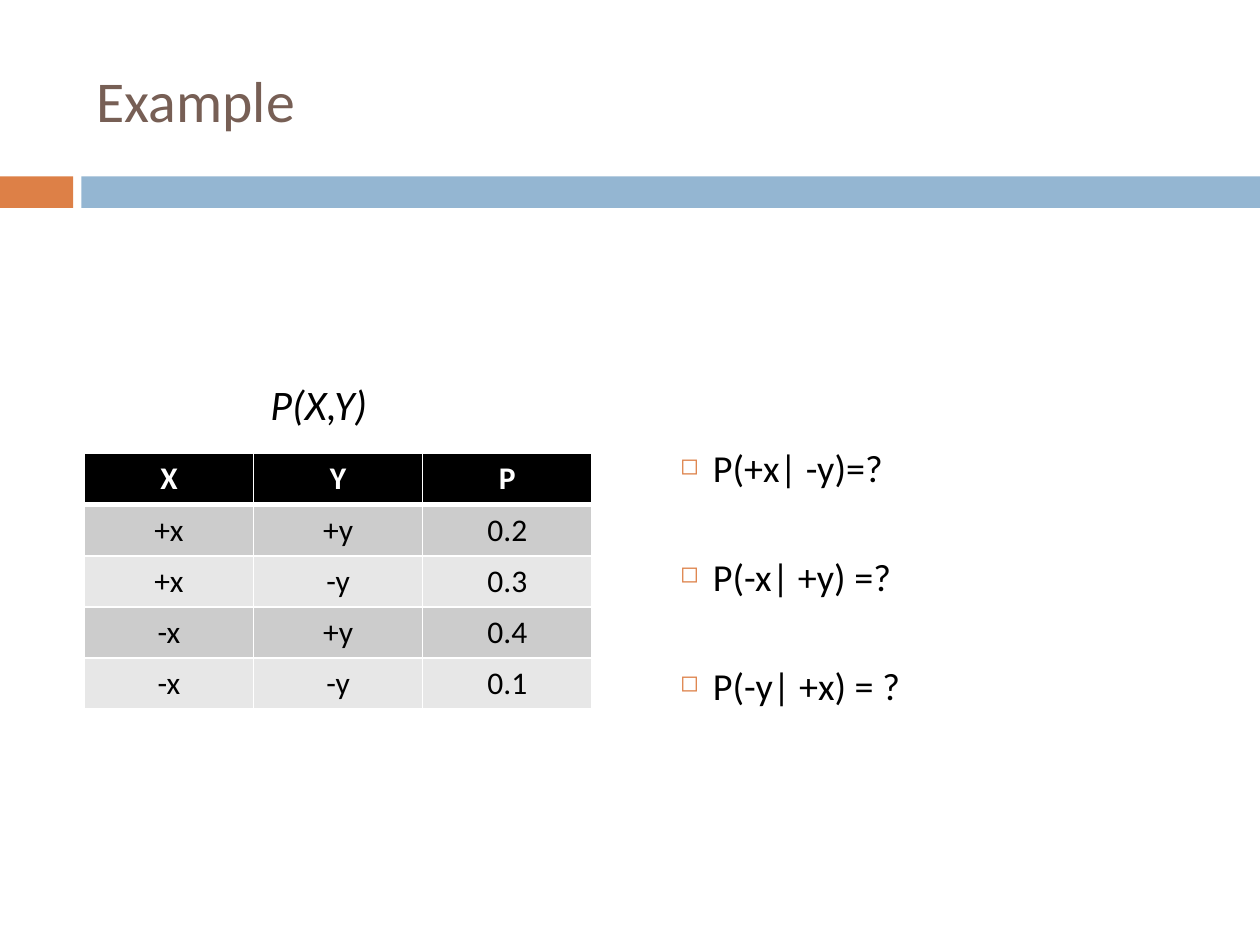
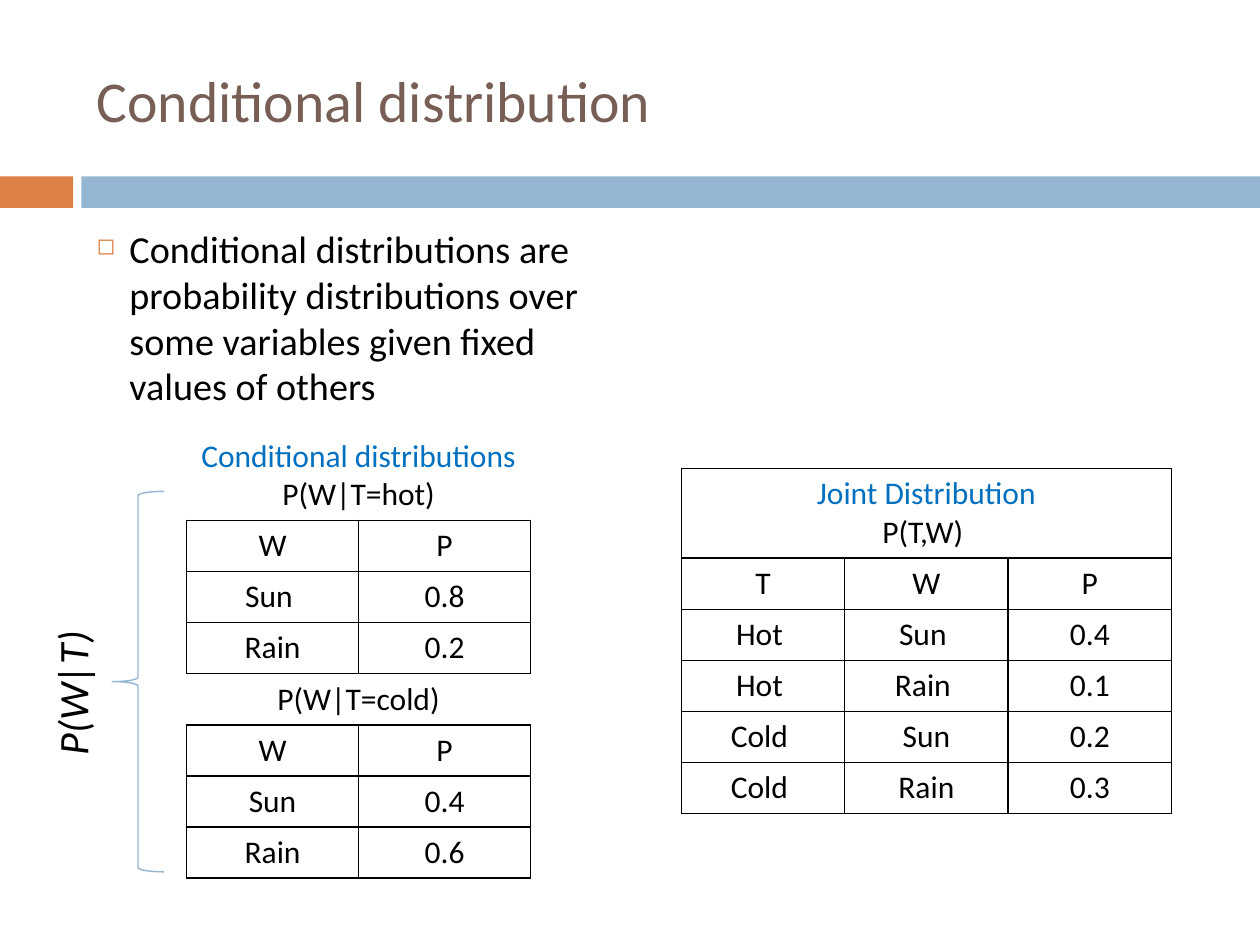
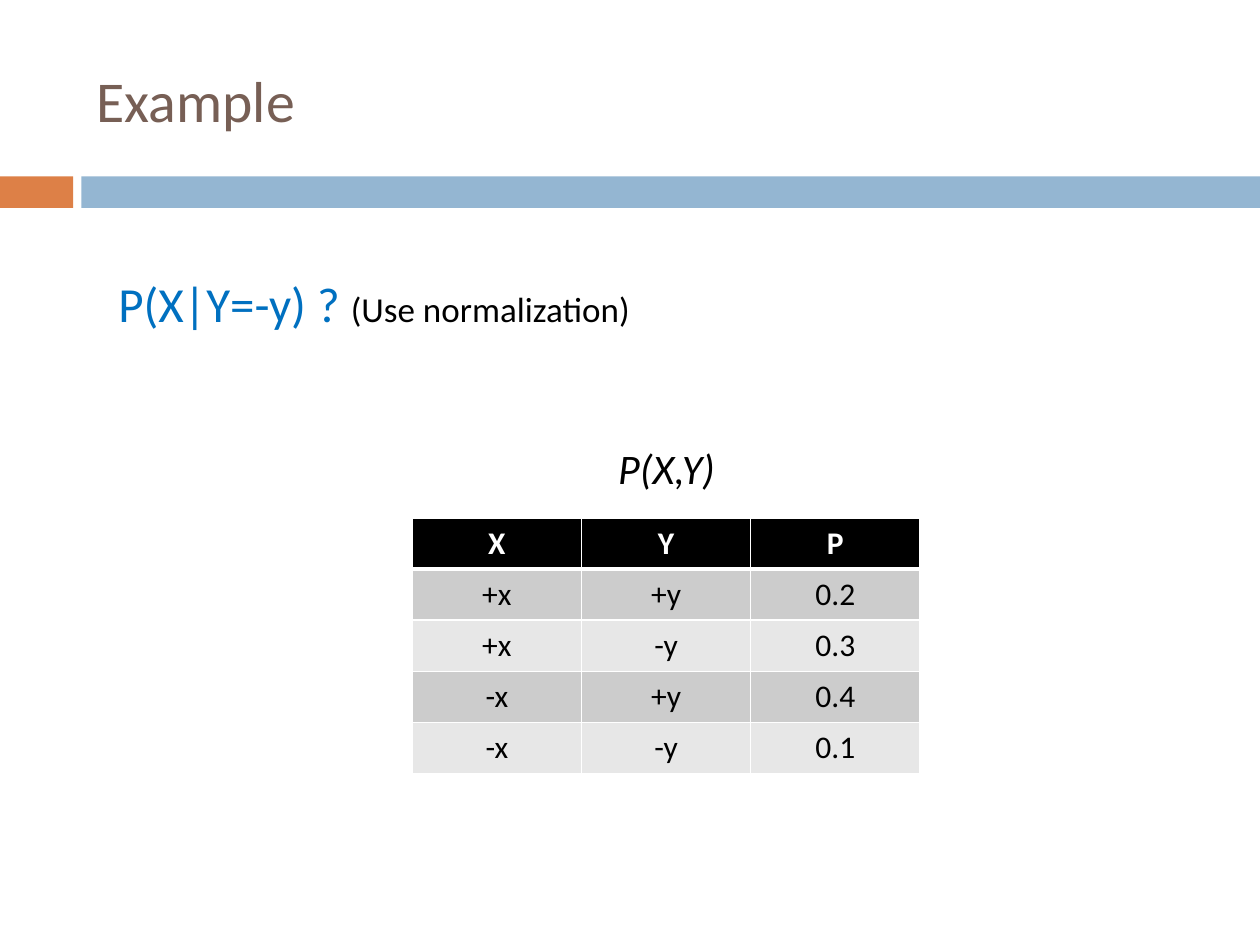
from dataclasses import dataclass
from typing import NamedTuple, Optional

import pptx
import pptx.dml.color
import pptx.enum.shapes
import pptx.enum.text
import pptx.oxml
import pptx.oxml.ns
import pptx.util
from lxml import etree

Pt = pptx.util.Pt
Align = pptx.enum.text.PP_ALIGN
Anchor = pptx.enum.text.MSO_ANCHOR
Shape = pptx.enum.shapes.MSO_SHAPE
qn = pptx.oxml.ns.qn


@dataclass(frozen=True)
class Theme:
    font: str = "Calibri"
    brown: str = "775F55"
    orange: str = "DD8047"
    pale: str = "94B6D2"
    blue: str = "0070C0"
    black: str = "000000"
    white: str = "FFFFFF"
    bands: tuple = ("CCCCCC", "E7E7E7")
    title: float = 33
    ask: float = 28
    label: float = 24
    body: float = 21.8
    note: float = 20
    cell: float = 18


THEME = Theme()


class Box(NamedTuple):
    left: float
    top: float
    width: float
    height: float

    def points(self) -> tuple:
        return tuple(Pt(side) for side in self)


class Band(NamedTuple):
    box: Box
    color: str


class Style(NamedTuple):
    size: float
    color: str = THEME.black
    bold: bool = False
    slant: bool = False


class Grid(NamedTuple):
    left: float
    top: float
    col: float
    rows: list
    open_rows: tuple = ()  # rows without side borders


TITLE = Box(48.2, 18, 642.2, 77.8)
BANDS = [
    Band(Box(0, 100.8, 41.8, 18), THEME.orange),
    Band(Box(46.5, 100.8, 673.5, 18), THEME.pale),
]
BODY_TOP, BODY_WIDTH, BODY_HEIGHT = 125.3, 306, 360
ROW, TALL_ROW = 29.2, 51.2
CELL = Style(THEME.cell)

PAIRS = [
    ["X", "Y", "P"],
    ["+x", "+y", "0.2"],
    ["+x", "-y", "0.3"],
    ["-x", "+y", "0.4"],
    ["-x", "-y", "0.1"],
]
JOINT = Grid(389.3, 267.8, 93.4, [
    ["Joint Distribution\nP(T,W) "],
    ["T", "W", "P"],
    ["Hot ", "Sun ", "0.4"],
    ["Hot ", "Rain ", "0.1"],
    ["Cold ", "Sun", "0.2"],
    ["Cold ", "Rain", "0.3"],
])
GIVEN = Grid(106.6, 246.2, 98.3, [
    ["Conditional distributions\nP(W|T=hot)"],
    ["W", "P"],
    ["Sun ", "0.8"],
    ["Rain", "0.2"],
    ["P(W|T=cold)"],
    ["W", "P"],
    ["Sun", "0.4"],
    ["Rain", "0.6"],
], open_rows=(0, 4))


# Text
def rgb(color: str):
    return pptx.dml.color.RGBColor.from_string(color)


def paint(font, style: Style) -> None:
    font.name = THEME.font
    font.size = Pt(style.size)
    font.bold = style.bold
    font.italic = style.slant
    font.color.rgb = rgb(style.color)


def format_lines(frame, style: Style, align=Align.LEFT) -> None:
    for line in frame.paragraphs:
        line.alignment = align
        for run in line.runs:
            paint(run.font, style)


def add_text(slide, box: Box, text: str, style: Style, align=Align.LEFT,
             anchor=Anchor.TOP):
    frame = slide.shapes.add_textbox(*box.points()).text_frame
    frame.word_wrap = True
    frame.vertical_anchor = anchor
    frame.text = text
    format_lines(frame, style, align)
    return frame


def add_points(slide, left: float, points: list, gap: float = 5.2,
               inset: float = 3.6) -> None:
    box = Box(left, BODY_TOP, BODY_WIDTH, BODY_HEIGHT)
    frame = add_text(slide, box, "\n".join(points), Style(THEME.body))
    frame.margin_top = Pt(inset)
    for line in frame.paragraphs:
        line.space_before = Pt(gap)
        props = line._p.get_or_add_pPr()
        props.set("marL", str(Pt(18.7)))
        props.set("indent", str(-Pt(18.7)))
        tint = etree.SubElement(props, qn("a:buClr"))
        etree.SubElement(tint, qn("a:srgbClr"), val=THEME.orange)
        etree.SubElement(props, qn("a:buSzPct"), val="60000")
        etree.SubElement(props, qn("a:buChar"), char="◻")


# Tables
def set_edge(cell, side: str, color: Optional[str], width: float = 1) -> None:
    edge = etree.Element(qn(f"a:ln{side}"), w=str(Pt(width)))
    if color is None:
        etree.SubElement(edge, qn("a:noFill"))
    else:
        fill = etree.SubElement(edge, qn("a:solidFill"))
        etree.SubElement(fill, qn("a:srgbClr"), val=color)
    cell._tc.get_or_add_tcPr().insert("LRTB".index(side), edge)


def add_grid(slide, grid: Grid):
    count = max(len(row) for row in grid.rows)
    heights = [TALL_ROW if "\n" in row[0] else ROW for row in grid.rows]
    box = Box(grid.left, grid.top, grid.col * count, sum(heights))
    table = slide.shapes.add_table(len(heights), count, *box.points()).table
    table.first_row = table.horz_banding = False
    for col in table.columns:
        col.width = Pt(grid.col)
    for index, row in enumerate(grid.rows):
        table.rows[index].height = Pt(heights[index])
        if len(row) == 1:
            table.cell(index, 0).merge(table.cell(index, count - 1))
        for col, text in enumerate(row):
            frame = table.cell(index, col).text_frame
            frame.text = text
            format_lines(frame, CELL, Align.CENTER)
    return table


def add_lined(slide, grid: Grid) -> None:
    table = add_grid(slide, grid)
    for index, row in enumerate(table.rows):
        for cell in row.cells:
            cell.fill.background()
            for side in "LRTB":
                bare = index in grid.open_rows and (
                    side in "LR" or (index == 0 and side == "T"))
                set_edge(cell, side, None if bare else THEME.black)
    head = table.cell(0, 0).text_frame.paragraphs[0]
    head.runs[0].font.color.rgb = rgb(THEME.blue)


def add_pairs(slide, left: float, top: float, label_left: float) -> None:
    table = add_grid(slide, Grid(left, top, 96.7, PAIRS))
    for index, row in enumerate(table.rows):
        color = THEME.bands[(index - 1) % 2] if index else THEME.black
        for cell in row.cells:
            cell.fill.solid()
            cell.fill.fore_color.rgb = rgb(color)
            for side in "LRTB":
                thick = (index, side) in ((0, "B"), (1, "T"))
                set_edge(cell, side, THEME.white, 3 if thick else 1)
            if index == 0:
                head = Style(THEME.cell, THEME.white, bold=True)
                format_lines(cell.text_frame, head, Align.CENTER)
    add_text(slide, Box(label_left, top - 46.4, 106.6, 36), "P(X,Y)",
             Style(THEME.label, slant=True), Align.CENTER)


# Shared frame of every slide
def add_slide(deck, title: str):
    slide = deck.slides.add_slide(deck.slide_layouts[6])
    for band in BANDS:
        bar = slide.shapes.add_shape(Shape.RECTANGLE, *band.box.points())
        bar.shadow.inherit = False
        bar.fill.solid()
        bar.fill.fore_color.rgb = rgb(band.color)
        bar.line.fill.background()
    add_text(slide, TITLE, title, Style(THEME.title, THEME.brown),
             anchor=Anchor.MIDDLE)
    return slide


# Slides
def build_quiz(deck) -> None:
    slide = add_slide(deck, "Example")
    add_points(slide, 381.6, ["P(+x| -y)=?", "P(-x| +y) =?", "P(-y| +x) = ?"],
               gap=36, inset=128.8)
    add_pairs(slide, 48.2, 259.2, 128.9)


def build_given(deck) -> None:
    slide = add_slide(deck, "Conditional distribution")
    add_points(slide, 48.2, [
        "Conditional distributions are probability distributions over "
        "some variables given fixed values of others"])
    add_lined(slide, JOINT)
    add_lined(slide, GIVEN)

    brace = slide.shapes.add_shape(
        Shape.LEFT_BRACE, *Box(64.1, 280.8, 29.5, 217.4).points())
    brace.shadow.inherit = False
    brace.fill.background()
    brace.line.color.rgb = rgb(THEME.pale)
    brace.line.width = Pt(0.79)

    frame = add_text(slide, Box(23, 326.9, 43.9, 138.2), "P(W|T)",
                     Style(THEME.label, slant=True), Align.CENTER)
    frame._txBody.bodyPr.set("vert", "vert270")


def build_ask(deck) -> None:
    slide = add_slide(deck, "Example")
    frame = add_text(slide, Box(60.5, 152.6, 349.2, 41), "P(X|Y=-y) ? ",
                     Style(THEME.ask, THEME.blue))
    hint = frame.paragraphs[0].add_run()
    hint.text = "(Use normalization)"
    paint(hint.font, Style(THEME.note))
    add_pairs(slide, 235.6, 296, 327.6)


def main() -> None:
    deck = pptx.Presentation()
    deck.slide_width, deck.slide_height = Pt(720), Pt(540)
    for build in (build_quiz, build_given, build_ask):
        build(deck)
    deck.save("out.pptx")


if __name__ == "__main__":
    main()
